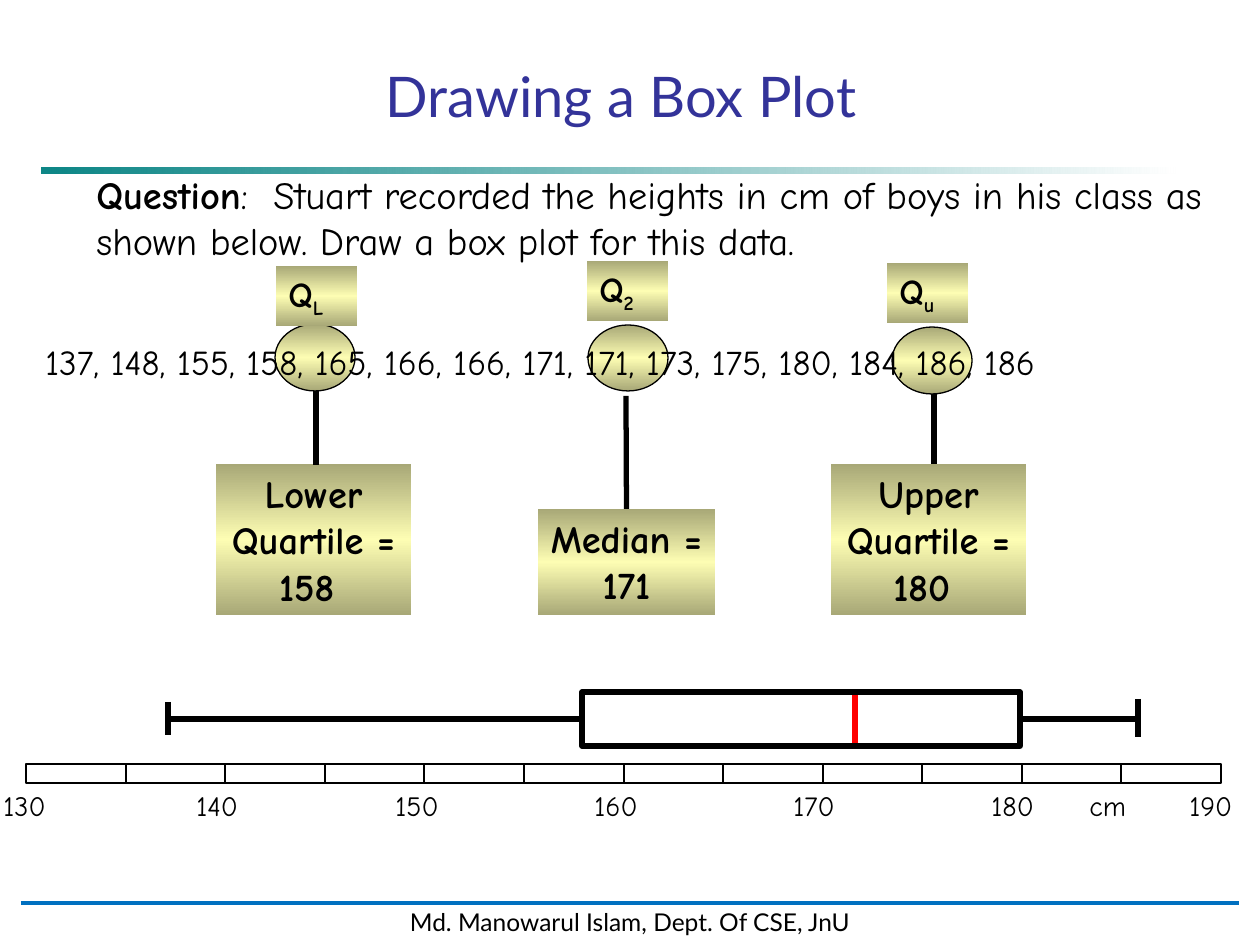
from dataclasses import dataclass
from typing import NamedTuple, Optional

from lxml import etree
from pptx import Presentation
from pptx.dml.color import RGBColor
from pptx.enum.shapes import MSO_CONNECTOR, MSO_SHAPE
from pptx.enum.text import MSO_ANCHOR, PP_ALIGN
from pptx.oxml.ns import qn
from pptx.util import Pt

EMU_PER_PX = 914400 / 126
RECTANGLE, OVAL = MSO_SHAPE.RECTANGLE, MSO_SHAPE.OVAL
STRAIGHT = MSO_CONNECTOR.STRAIGHT
TOP, MIDDLE = MSO_ANCHOR.TOP, MSO_ANCHOR.MIDDLE
LEFT, CENTER = PP_ALIGN.LEFT, PP_ALIGN.CENTER

BLACK = RGBColor(0x00, 0x00, 0x00)
WHITE = RGBColor(0xFF, 0xFF, 0xFF)
RED = RGBColor(0xFF, 0x00, 0x00)
BLUE = RGBColor(0x00, 0x70, 0xC0)
INDIGO = RGBColor(0x33, 0x33, 0x99)
TEAL = RGBColor(0x00, 0x80, 0x80)
OLIVE = RGBColor(0xA8, 0xA8, 0x77)
CREAM = RGBColor(0xFD, 0xFD, 0xB3)

HAND, SANS = "Comic Neue", "Lato"


class Area(NamedTuple):
    left: int
    top: int
    width: int
    height: int


class Stop(NamedTuple):
    percent: int
    color: RGBColor
    opacity: int = 100


class Style(NamedTuple):
    size: int
    font: str = HAND
    color: RGBColor = BLACK
    bold: bool = False
    align: PP_ALIGN = LEFT
    anchor: MSO_ANCHOR = TOP


@dataclass
class Quartile:
    subscript: str
    caption: str
    label: Area
    circle: Area
    box: Area
    stem: tuple[int, int, int]  # x, top, bottom
    joined: bool = False


GOLD = (Stop(0, OLIVE), Stop(50, CREAM), Stop(100, OLIVE))
FADE = (Stop(0, TEAL, 95), Stop(100, WHITE))

TITLE = Style(32, SANS, INDIGO, align=CENTER, anchor=MIDDLE)
FOOTER = Style(14, SANS, align=CENTER, anchor=MIDDLE)
QUESTION = Style(22)
DATA = Style(20)
LABEL = Style(20, bold=True)
CAPTION = Style(22, bold=True, align=CENTER)
TICK = Style(16)

QUARTILES = (
    Quartile("u", "Upper Quartile = 180 ", Area(887, 263, 81, 60),
             Area(892, 327, 80, 67), Area(831, 464, 195, 151), (934, 394, 464)),
    Quartile("L", "Lower Quartile = 158 ", Area(276, 266, 81, 60),
             Area(275, 324, 80, 67), Area(216, 464, 195, 151), (316, 391, 465)),
    Quartile("2", "Median = 171", Area(587, 261, 81, 60),
             Area(588, 325, 80, 66), Area(538, 509, 177, 106), (626, 396, 509), True),
)

SCALE = Area(26, 764, 1195, 19)
SCALE_CELLS = 12
TICK_LEFTS = (-9, 184, 383, 582, 781, 979, 1177)


def px(length: float) -> int:
    return round(length * EMU_PER_PX)


def place(area: Area) -> list[int]:
    return [px(length) for length in area]


def set_gradient(shape, stops: tuple[Stop, ...], angle: int) -> None:
    shape.fill.gradient()
    shape.fill.gradient_angle = angle
    stop_list = shape._element.spPr.find(".//" + qn("a:gsLst"))
    for old in list(stop_list):
        stop_list.remove(old)
    for stop in stops:
        node = etree.SubElement(stop_list, qn("a:gs"), pos=str(stop.percent * 1000))
        color = etree.SubElement(node, qn("a:srgbClr"), val=str(stop.color))
        if stop.opacity < 100:
            etree.SubElement(color, qn("a:alpha"), val=str(stop.opacity * 1000))


def add_figure(page, kind: MSO_SHAPE, area: Area, line: Optional[RGBColor] = None,
               weight: float = 0.75):
    shape = page.shapes.add_shape(kind, *place(area))
    shape.shadow.inherit = False
    shape.fill.background()
    if line is None:
        shape.line.fill.background()
    else:
        shape.line.color.rgb = line
        shape.line.width = Pt(weight)
    return shape


def add_line(page, x1: int, y1: int, x2: int, y2: int, color: RGBColor = BLACK,
             weight: float = 3):
    line = page.shapes.add_connector(STRAIGHT, px(x1), px(y1), px(x2), px(y2))
    line.line.color.rgb = color
    line.line.width = Pt(weight)
    etree.SubElement(line._element.spPr, qn("a:effectLst"))
    return line


def write(shape, style: Style, *texts: str, wrap: bool = True) -> list:
    frame = shape.text_frame
    frame.word_wrap = wrap
    frame.vertical_anchor = style.anchor
    para = frame.paragraphs[0]
    para.alignment = style.align
    para.font.size = Pt(style.size)
    para.font.name = style.font
    para.font.bold = style.bold
    para.font.color.rgb = style.color
    spans = []
    for text in texts:
        span = para.add_run()
        span.text = text
        spans.append(span)
    return spans


def add_text(page, area: Area, style: Style, *texts: str) -> list:
    return write(page.shapes.add_textbox(*place(area)), style, *texts)


def add_quartile(page, quartile: Quartile) -> None:
    box = add_figure(page, RECTANGLE, quartile.box)
    set_gradient(box, GOLD, 90)
    write(box, CAPTION, quartile.caption)
    x, top, bottom = quartile.stem
    stem = add_line(page, x, top, x, bottom)
    if quartile.joined:
        stem.end_connect(box, 0)
    label = add_figure(page, RECTANGLE, quartile.label)
    set_gradient(label, GOLD, 90)
    subscript = write(label, LABEL, "Q", quartile.subscript)[1]
    subscript.font._element.set("baseline", "-25000")


def add_box_plot(page) -> None:
    add_line(page, 855, 745, 855, 692, RED)
    box = add_figure(page, RECTANGLE, Area(582, 692, 438, 54), BLACK, 3)
    add_line(page, 168, 719, 582, 719).end_connect(box, 1)
    add_line(page, 168, 702, 168, 735)
    add_line(page, 1020, 719, 1138, 719).begin_connect(box, 3)
    add_line(page, 1138, 699, 1138, 737)


def add_scale(page) -> None:
    edges = [SCALE.left + round(SCALE.width * i / SCALE_CELLS)
             for i in range(SCALE_CELLS + 1)]
    for left, right in zip(edges, edges[1:]):
        add_figure(page, RECTANGLE, Area(left, SCALE.top, right - left, SCALE.height), BLACK)
    for index, left in enumerate(TICK_LEFTS):
        add_text(page, Area(left, 782, 83, 47), TICK, str(130 + 10 * index))
    add_text(page, Area(1077, 782, 100, 47), TICK, "cm")


def main() -> None:
    deck = Presentation()
    deck.slide_width, deck.slide_height = px(1260), px(945)
    page = deck.slides.add_slide(deck.slide_layouts[6])

    # Header bar and footer
    set_gradient(add_figure(page, RECTANGLE, Area(42, 168, 1134, 6)), FADE, 0)
    footer = add_figure(page, RECTANGLE, Area(21, 901, 1218, 42), WHITE, 2)
    footer.fill.solid()
    footer.fill.fore_color.rgb = WHITE
    write(footer, FOOTER, "Md. Manowarul Islam, Dept. Of CSE, JnU", wrap=False)
    add_line(page, 21, 903, 1239, 903, BLUE, 1.75)

    # Quartile markers, behind the data they circle
    for quartile in QUARTILES:
        set_gradient(add_figure(page, OVAL, quartile.circle, BLACK), GOLD, 90)
    for quartile in QUARTILES:
        add_quartile(page, quartile)

    # Question and data
    heading = add_text(
        page, Area(84, 165, 1137, 106), QUESTION, "Question",
        ":  Stuart recorded the heights in cm of boys in his class as shown below. "
        "Draw a box plot for this data.")[0]
    heading.font.bold = True
    add_text(page, Area(33, 334, 1196, 55), DATA,
             "137, 148, 155, 158, 165, 166, 166, 171, 171, 173, 175, 180, 184, 186, 186")

    # Box plot over its scale
    add_box_plot(page)
    add_scale(page)

    # Title
    add_text(page, Area(84, 53, 1074, 84), TITLE, "Drawing a Box Plot")
    deck.save("out.pptx")


if __name__ == "__main__":
    main()
